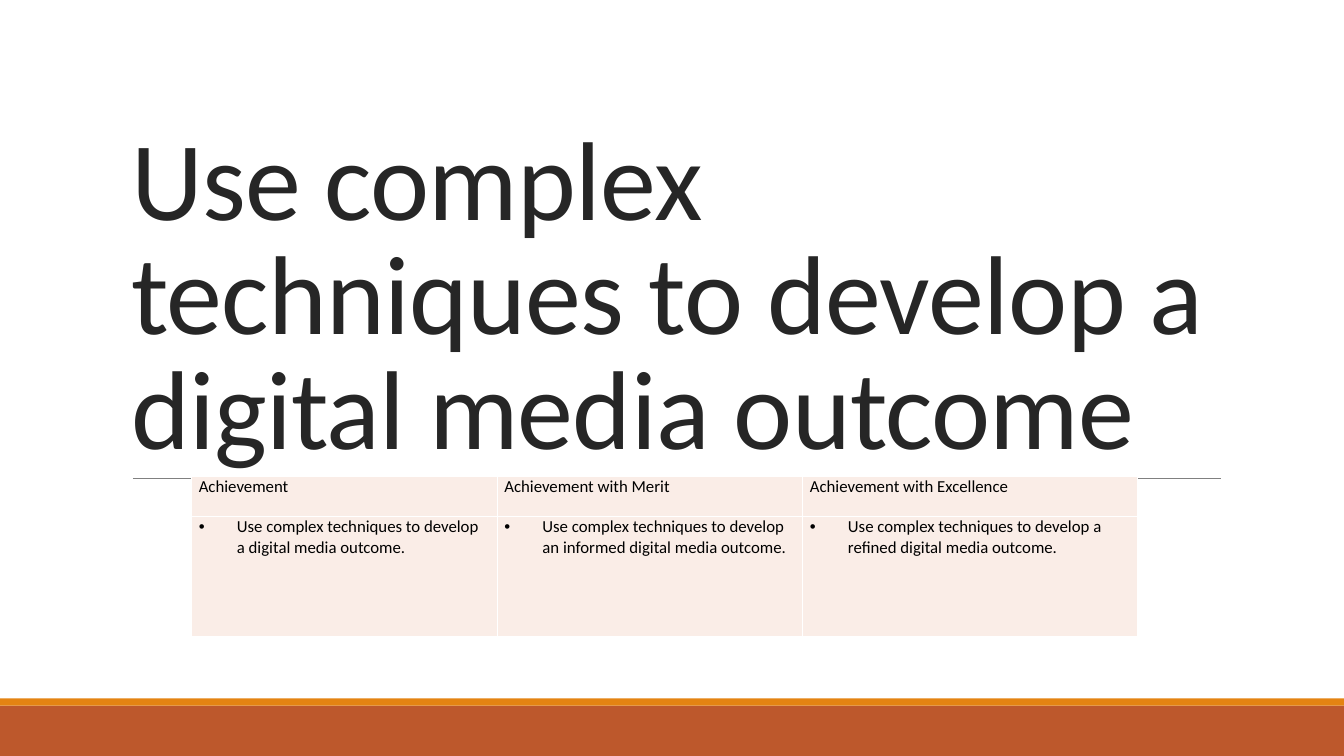
from lxml.etree import SubElement
from pptx import Presentation
from pptx.dml.color import RGBColor
from pptx.enum.shapes import MSO_CONNECTOR, MSO_SHAPE
from pptx.enum.text import MSO_ANCHOR, MSO_AUTO_SIZE, PP_ALIGN
from pptx.oxml.ns import qn
from pptx.util import Cm, Pt

COLOURS = {
    "title": "262626",
    "text": "000000",
    "rule": "808080",
    "footer": "BD582C",
    "stripe": "E48312",
    "cell": "FAEDE7",
    "border": "FFFFFF",
}
SLIDE_WIDTH = 33.87
SLIDE_HEIGHT = 19.05
LEVELS = [
    ("Achievement", "Use complex techniques to develop a digital media outcome."),
    ("Achievement with Merit",
     "Use complex techniques to develop an informed digital media outcome."),
    ("Achievement with Excellence",
     "Use complex techniques to develop a refined digital media outcome."),
]
LEVEL_WIDTHS = [7.7, 7.7, 8.43]
ROW_HEIGHTS = [1.01, 3.01]


def rgb(name):
    return RGBColor.from_string(COLOURS[name])


def write_text(frame, text, size, colour, line_spacing=None, gap=0,
               tracking=None, bullet=False):
    paragraph = frame.paragraphs[0]
    paragraph.alignment = PP_ALIGN.LEFT
    paragraph.line_spacing = line_spacing
    paragraph.space_before = paragraph.space_after = Pt(gap)
    run = paragraph.add_run()
    run.text = text
    run.font.name = "Calibri"
    run.font.size = Pt(size)
    run.font.color.rgb = rgb(colour)
    if tracking is not None:
        run.font._element.set("spc", str(round(tracking * 100)))
    if bullet:
        properties = paragraph._p.get_or_add_pPr()
        indent = Cm(0.96)
        properties.set("marL", str(indent))
        properties.set("indent", str(-indent))
        SubElement(properties, qn("a:buFont"), typeface="Arial")
        SubElement(properties, qn("a:buChar"), char="•")


def add_bar(slide, top, height, colour):
    bar = slide.shapes.add_shape(
        MSO_SHAPE.RECTANGLE, 0, Cm(top), Cm(SLIDE_WIDTH), Cm(height))
    bar.shadow.inherit = False
    bar.fill.solid()
    bar.fill.fore_color.rgb = rgb(colour)
    bar.line.fill.background()


def add_rule(slide, left, right, top):
    rule = slide.shapes.add_connector(
        MSO_CONNECTOR.STRAIGHT, Cm(left), Cm(top), Cm(right), Cm(top))
    rule.line.color.rgb = rgb("rule")
    rule.line.width = Pt(0.5)
    SubElement(rule._element.spPr, qn("a:effectLst"))


def format_title(title, text):
    title.left, title.top = Cm(3.05), Cm(2.11)
    title.width, title.height = Cm(27.94), Cm(9.91)
    frame = title.text_frame
    frame.word_wrap = True
    frame.auto_size = MSO_AUTO_SIZE.NONE
    frame.vertical_anchor = MSO_ANCHOR.BOTTOM
    frame.margin_right = Cm(0.5)
    write_text(frame, text, 80, "title", line_spacing=0.85, tracking=-0.5)


def format_cell(cell, text, bullet):
    cell.margin_left = cell.margin_right = Cm(0.18)
    cell.margin_top = cell.margin_bottom = 0
    write_text(cell.text_frame, text, 12, "text", gap=6, bullet=bullet)
    # Borders come before the fill in the cell properties
    properties = cell._tc.get_or_add_tcPr()
    for side in ("lnL", "lnR", "lnT", "lnB"):
        border = SubElement(properties, qn(f"a:{side}"), w=str(Pt(1)))
        fill = SubElement(border, qn("a:solidFill"))
        SubElement(fill, qn("a:srgbClr"), val=COLOURS["border"])
    cell.fill.solid()
    cell.fill.fore_color.rgb = rgb("cell")


def add_levels_table(slide, left, top):
    levels = slide.shapes.add_table(
        len(ROW_HEIGHTS), len(LEVELS), Cm(left), Cm(top),
        Cm(sum(LEVEL_WIDTHS)), Cm(sum(ROW_HEIGHTS))).table
    levels.first_row = levels.horz_banding = False
    for row, height in zip(levels.rows, ROW_HEIGHTS):
        row.height = Cm(height)
    for index, (width, entries) in enumerate(zip(LEVEL_WIDTHS, LEVELS)):
        levels.columns[index].width = Cm(width)
        for row_index, entry in enumerate(entries):
            format_cell(levels.cell(row_index, index), entry, bullet=row_index > 0)


def main():
    presentation = Presentation()
    presentation.slide_width = Cm(SLIDE_WIDTH)
    presentation.slide_height = Cm(SLIDE_HEIGHT)
    slide = presentation.slides.add_slide(presentation.slide_layouts[5])

    # Footer bars and rule under the title
    add_bar(slide, 17.78, 1.27, "footer")
    add_bar(slide, 17.6, 0.18, "stripe")
    add_rule(slide, 3.35, 30.78, 12.06)

    # Title and achievement levels
    format_title(slide.shapes.title,
                 "Use complex techniques to develop a digital media outcome")
    add_levels_table(slide, 4.83, 12.01)

    presentation.save("out.pptx")


if __name__ == "__main__":
    main()
